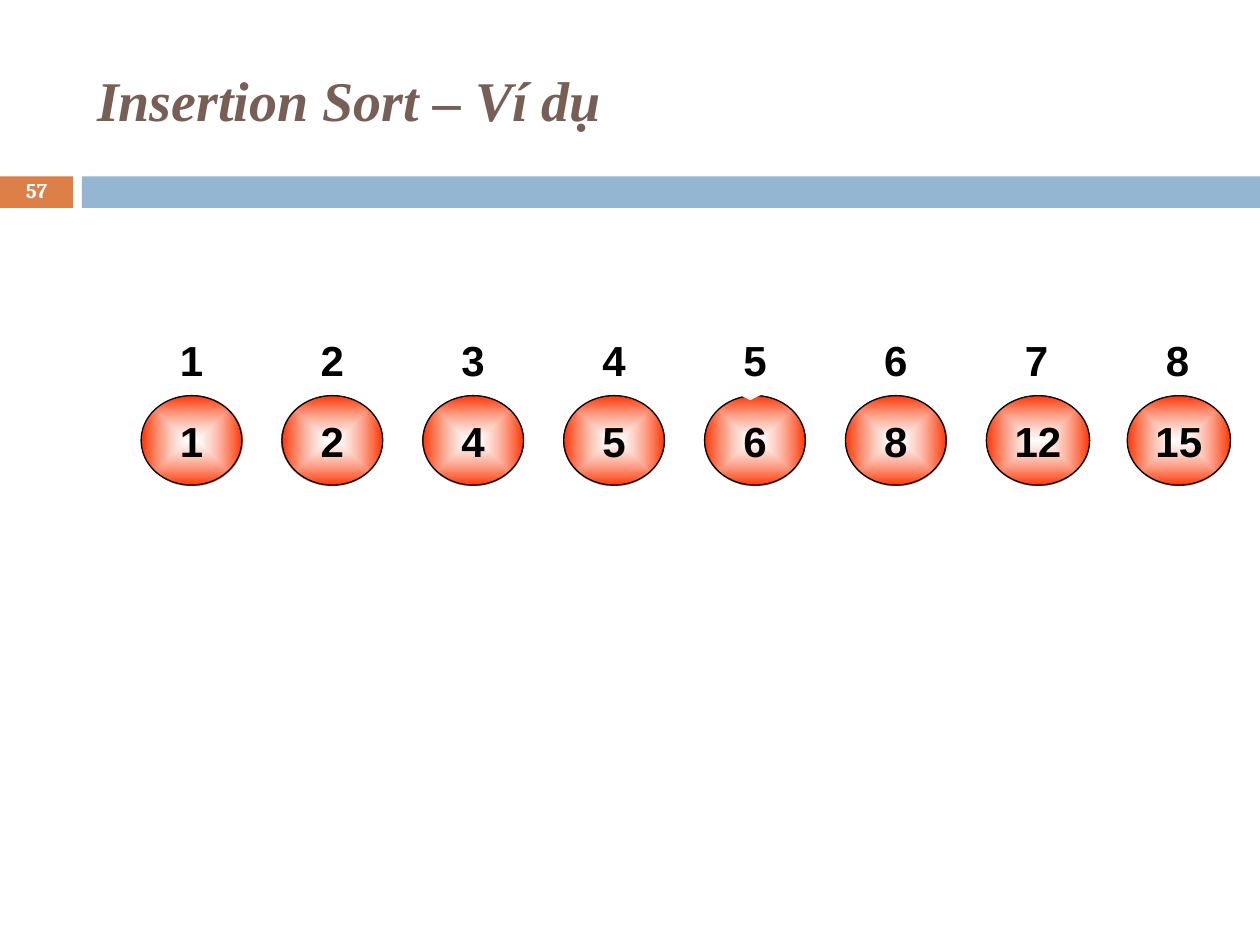
"""Build the insertion sort example slide showing the sorted array."""
from dataclasses import dataclass

import pptx
import pptx.dml.color
import pptx.enum.shapes
import pptx.enum.text
import pptx.oxml
import pptx.oxml.ns
import pptx.util
from pptx.util import Inches

SHAPE = pptx.enum.shapes.MSO_SHAPE
ALIGN = pptx.enum.text.PP_ALIGN
ANCHOR = pptx.enum.text.MSO_ANCHOR
QN = pptx.oxml.ns.qn
NAMESPACE = pptx.oxml.ns.nsdecls("a")

SORTED_VALUES = [1, 2, 4, 5, 6, 8, 12, 15]
FIRST_LEFT, PITCH = 1.12, 1.118
INDEX_TOP, VALUE_TOP = 2.5, 3.14


@dataclass(frozen=True)
class Box:
    left: float
    top: float
    width: float
    height: float

    def lengths(self) -> tuple:
        return tuple(Inches(n) for n in (self.left, self.top, self.width, self.height))


@dataclass(frozen=True)
class TextStyle:
    font: str
    size: int
    color: str
    align: ALIGN = ALIGN.CENTER
    italic: bool = False
    line_spacing: float = 1.0


TITLE_STYLE = TextStyle("Times New Roman", 32, "775F55", ALIGN.LEFT, italic=True)
PAGE_STYLE = TextStyle("Cambria", 12, "FFFFFF", line_spacing=0.8)
NUMBER_STYLE = TextStyle("Arial", 24, "000000")


def rgb(color: str) -> pptx.dml.color.RGBColor:
    return pptx.dml.color.RGBColor.from_string(color)


def write(shape, text: str, style: TextStyle, wrap: bool = True) -> None:
    frame = shape.text_frame
    frame.text = text
    frame.word_wrap = wrap
    frame.auto_size = pptx.enum.text.MSO_AUTO_SIZE.NONE
    frame.vertical_anchor = ANCHOR.MIDDLE
    paragraph = frame.paragraphs[0]
    paragraph.alignment = style.align
    paragraph.line_spacing = style.line_spacing
    font = paragraph.font
    font.name, font.size = style.font, pptx.util.Pt(style.size)
    font.bold, font.italic = True, style.italic
    font.color.rgb = rgb(style.color)


def add_plain(shapes, kind: SHAPE, box: Box, fill: str | None = None, line: str | None = None):
    shape = shapes.add_shape(kind, *box.lengths())
    shape.shadow.inherit = False
    if fill:
        shape.fill.solid()
        shape.fill.fore_color.rgb = rgb(fill)
    else:
        shape.fill.background()
    if line:
        shape.line.color.rgb = rgb(line)
        shape.line.width = pptx.util.Pt(0.75)
    else:
        shape.line.fill.background()
    return shape


def fill_from_center(shape, inner: str, outer: str, inner_alpha: int) -> None:
    shape.fill.gradient()
    for stop, color in zip(shape.fill.gradient_stops, (inner, outer)):
        stop.color.rgb = rgb(color)
    gradient = shape.element.spPr.find(QN("a:gradFill"))
    gradient.find(".//" + QN("a:srgbClr")).append(
        pptx.oxml.parse_xml(f'<a:alpha {NAMESPACE} val="{inner_alpha * 1000}"/>'))
    gradient.replace(gradient.find(QN("a:lin")), pptx.oxml.parse_xml(
        f'<a:path {NAMESPACE} path="rect">'
        '<a:fillToRect l="50000" t="50000" r="50000" b="50000"/></a:path>'))


def add_number(shapes, position: int, top: float, number: int, line: str | None = None):
    width = 0.82 if number > 9 else 0.8
    box = Box(FIRST_LEFT + position * PITCH, top, width, 0.71)
    circle = add_plain(shapes, SHAPE.OVAL, box, line=line)
    write(circle, str(number), NUMBER_STYLE, wrap=False)
    return circle


def main() -> None:
    deck = pptx.Presentation()
    deck.slide_width, deck.slide_height = Inches(10), Inches(7.5)
    slide = deck.slides.add_slide(deck.slide_layouts[5])
    shapes = slide.shapes

    title = shapes.title
    title.left, title.top, title.width, title.height = Box(0.67, 0.25, 8.92, 1.08).lengths()
    write(title, "Insertion Sort – Ví dụ", TITLE_STYLE)

    add_plain(shapes, SHAPE.RECTANGLE, Box(0, 1.4, 0.58, 0.25), "DD8047")
    add_plain(shapes, SHAPE.RECTANGLE, Box(0.65, 1.4, 9.35, 0.25), "94B6D2")
    page_number = shapes.add_textbox(*Box(0, 1.39, 0.58, 0.27).lengths())
    write(page_number, "57", PAGE_STYLE)

    for position, value in enumerate(SORTED_VALUES):
        circle = add_number(shapes, position, VALUE_TOP, value, line="000000")
        fill_from_center(circle, "FFFFFF", "FF3300", inner_alpha=60)

    callout = add_plain(shapes, SHAPE.DOWN_ARROW_CALLOUT, Box(5.33, 2.25, 1.25, 0.92),
                        "FFFFFF", "FFFFFF")
    for index, adjustment in enumerate((0.34, 0.34, 0.167, 0.546)):
        callout.adjustments[index] = adjustment

    indices = shapes.add_group_shape().shapes
    for position in range(len(SORTED_VALUES)):
        add_number(indices, position, INDEX_TOP, position + 1)

    deck.save("out.pptx")


if __name__ == "__main__":
    main()
